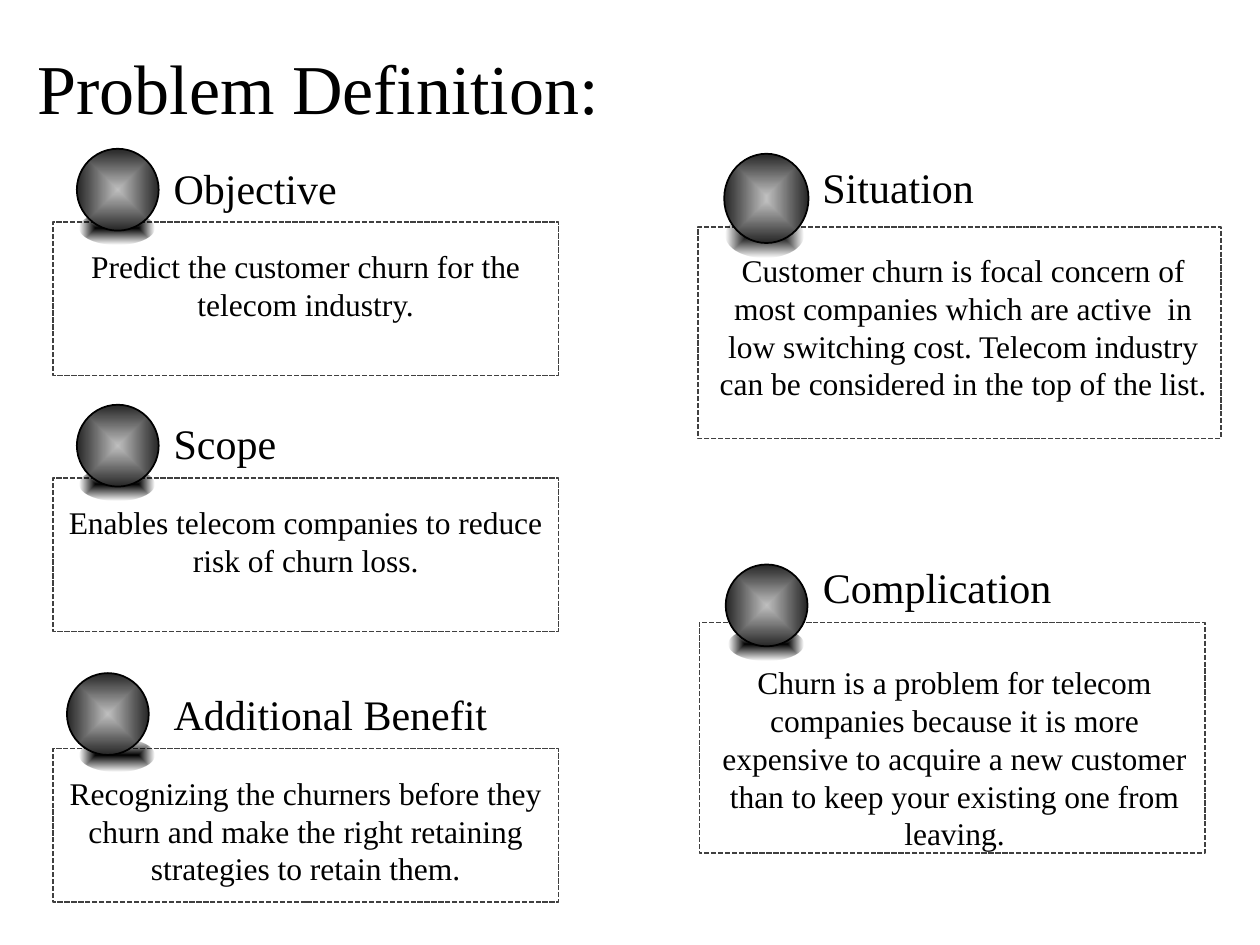
from dataclasses import dataclass
from lxml.etree import SubElement
from pptx import Presentation
from pptx.dml.color import RGBColor
from pptx.enum.dml import MSO_LINE
from pptx.enum.shapes import MSO_SHAPE
from pptx.enum.text import MSO_ANCHOR, PP_ALIGN
from pptx.oxml.ns import qn
from pptx.util import Cm, Pt


@dataclass(frozen=True)
class Theme:
    """Hold the colours, font and type sizes."""
    font: str = "Times New Roman"
    ink: str = "000000"
    edge: str = "404040"
    glow: str = "BFBFBF"
    rim: str = "262626"
    title: int = 40
    head: int = 24
    body: int = 18
    line: int = 1


THEME = Theme()


def write(shape, text, size, align=PP_ALIGN.LEFT, anchor=MSO_ANCHOR.TOP, inset=(0.25, 0.13)):
    """Put formatted text into a shape."""
    frame = shape.text_frame
    frame.word_wrap = True
    frame.vertical_anchor = anchor
    frame.margin_left = frame.margin_right = Cm(inset[0])
    frame.margin_top = frame.margin_bottom = Cm(inset[1])
    para = frame.paragraphs[0]
    para.alignment = align
    run = para.add_run()
    run.text = text
    run.font.name = THEME.font
    run.font.size = Pt(size)
    run.font.color.rgb = RGBColor.from_string(THEME.ink)


def place(box, part):
    """Turn a part's offset and size in a box into lengths."""
    return [Cm(v) for v in (box[0] + part[0], box[1] + part[1], part[2], part[3])]


def draw(group, kind, spot, line=None):
    """Add an unfilled shape with an optional outline."""
    shape = group.shapes.add_shape(kind, *spot)
    shape.shadow.inherit = False
    shape.fill.background()
    if line:
        shape.line.color.rgb = RGBColor.from_string(line)
        shape.line.width = Pt(THEME.line)
    else:
        shape.line.fill.background()
    return shape


def shade(shape, inner, outer, clear=False):
    """Fill a shape with a gradient from its centre outward."""
    props = shape.element.spPr
    grad = props.makeelement(qn("a:gradFill"), {"rotWithShape": "1"})
    props.replace(props.find(qn("a:noFill")), grad)
    stops = SubElement(grad, qn("a:gsLst"))
    for pos, tone in (("0", inner), ("100000", outer)):
        stop = SubElement(stops, qn("a:gs"), pos=pos)
        color = SubElement(stop, qn("a:srgbClr"), val=tone)
        if clear and tone is outer and pos != "0":
            SubElement(color, qn("a:alpha"), val="0")
    trail = SubElement(grad, qn("a:path"), path="shape")
    SubElement(trail, qn("a:fillToRect"), dict.fromkeys("ltrb", "50000"))


def panel(slide, box, head, body, text_at=(0, 0.38), cast=(0.53, -0.2, 1.52, 0.66),
          ball=(0.48, -1.47, 1.65, 1.65), head_at=(2.18, -1.35)):
    """Build a dashed panel with a ball, a heading and a text."""
    wide, high = box[2:]
    group = slide.shapes.add_group_shape()
    note = group.shapes.add_textbox(*place(box, (*text_at, wide, high - text_at[1])))
    write(note, body, THEME.body, align=PP_ALIGN.CENTER)
    frame = draw(group, MSO_SHAPE.RECTANGLE, place(box, (0, 0, wide, high)), THEME.edge)
    frame.line.dash_style = MSO_LINE.SQUARE_DOT
    shade(draw(group, MSO_SHAPE.OVAL, place(box, cast)), THEME.ink, THEME.ink, clear=True)
    shade(draw(group, MSO_SHAPE.OVAL, place(box, ball), THEME.ink), THEME.glow, THEME.rim)
    label = group.shapes.add_textbox(*place(box, (*head_at, wide - head_at[0], 1.14)))
    write(label, head, THEME.head)


def heading(slide, box, text):
    """Place and fill the slide title."""
    title = slide.shapes.title
    title.left, title.top, title.width, title.height = (Cm(v) for v in box)
    write(title, text, THEME.title, anchor=MSO_ANCHOR.MIDDLE, inset=(0.33, 0.18))


def main():
    """Build and save the slide."""
    deck = Presentation()
    deck.slide_width, deck.slide_height = Cm(25.4), Cm(19.05)
    slide = deck.slides.add_slide(deck.slide_layouts[5])
    heading(slide, (0.43, 0.76, 18.67, 1.98), "Problem Definition:")
    panel(slide, (14.1, 12.55, 10.19, 4.65), "Complication",
          "Churn is a problem for telecom companies because it is more expensive "
          "to acquire a new customer than to keep your existing one from leaving.",
          text_at=(0.05, 0.69), cast=(0.58, 0.1, 1.52, 0.66),
          ball=(0.53, -1.17, 1.65, 1.65), head_at=(2.24, -1.37))
    panel(slide, (14.07, 4.57, 10.54, 4.27), "Situation",
          "Customer churn is focal concern of most companies which are active  in "
          "low switching cost. Telecom industry can be considered in the top of the list.",
          text_at=(0.08, 0.36), cast=(0.56, -0.28, 1.57, 0.91),
          ball=(0.53, -1.47, 1.7, 1.8), head_at=(2.26, -1.45))
    left, size = 1.07, (10.19, 3.1)
    panel(slide, (left, 9.63, *size), "Scope",
          "Enables telecom companies to reduce risk of churn loss.")
    panel(slide, (left, 4.47, *size), "Objective",
          "Predict the customer churn for the telecom industry.", head_at=(2.18, -1.32))
    panel(slide, (left, 15.09, *size), "Additional Benefit",
          "Recognizing the churners before they churn and make the right "
          "retaining strategies to retain them.", ball=(0.28, -1.52, 1.65, 1.65))
    deck.save("out.pptx")


main()
